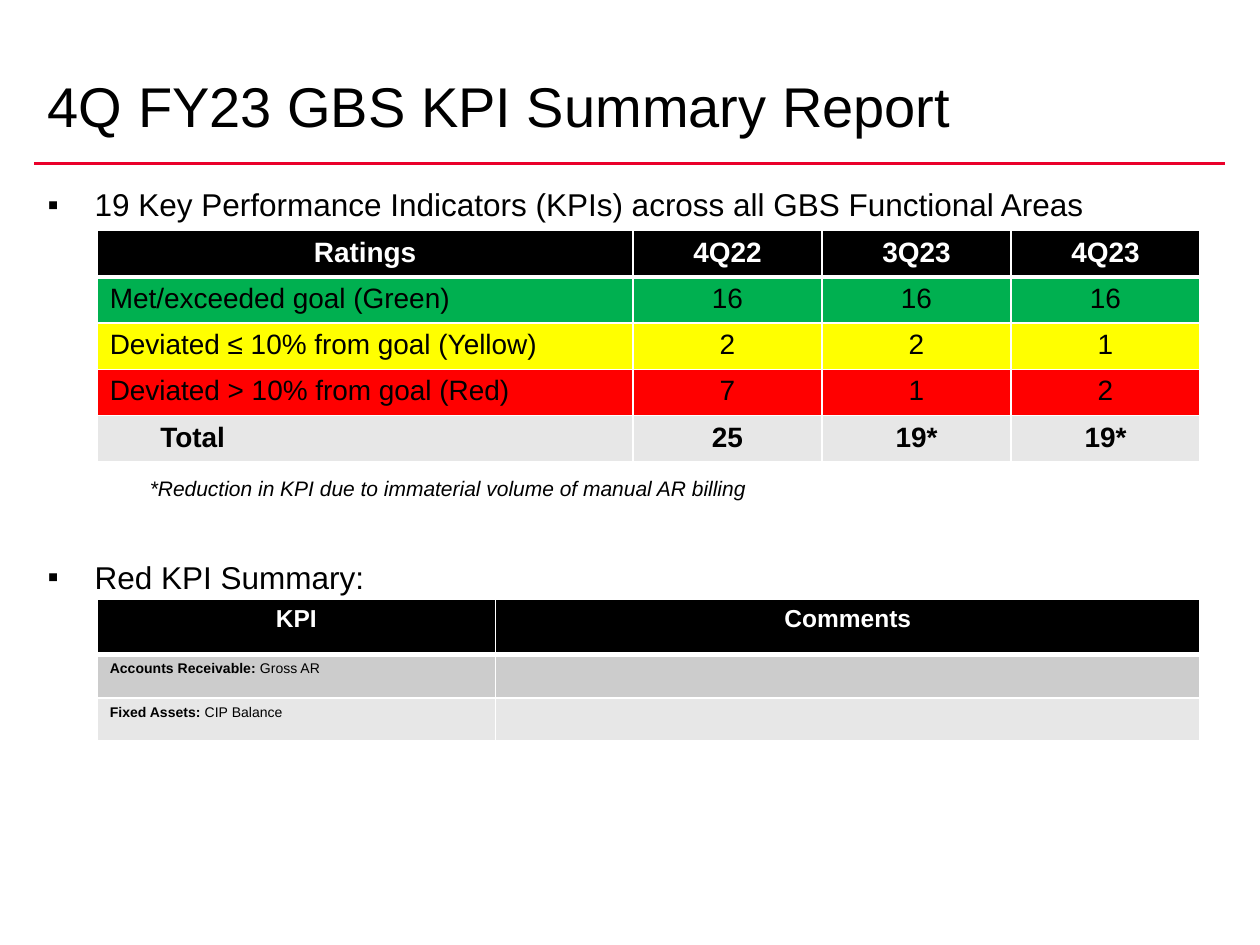
from lxml.etree import SubElement
from pptx import Presentation
from pptx.dml.color import RGBColor
from pptx.enum.shapes import MSO_CONNECTOR
from pptx.enum.text import MSO_ANCHOR, MSO_AUTO_SIZE, PP_ALIGN
from pptx.oxml.ns import qn
from pptx.util import Cm, Pt

TITLE = "4Q FY23 GBS KPI Summary Report"
BULLET = dict(marL=Cm(0.95), indent=Cm(-0.95))
NOTE = dict(marL=Cm(2.06), indent=0)
BODY = [
    ("19 Key Performance Indicators (KPIs) across all GBS Functional Areas",
     dict(size=Pt(18)), BULLET, 0),
    ("*Reduction in KPI due to immaterial volume of manual AR billing",
     dict(size=Pt(12), italic=True), NOTE, 138),
    ("Red KPI Summary:", dict(size=Pt(18)), BULLET, 27),
]

RATINGS = dict(
    top=4.65, cols=[10.8, 3.81, 3.81, 3.81], rows=[0.89] * 5,
    head_size=16, size=16, centred=True,
    fills=["000000", "00B050", "FFFF00", "FF0000", "E7E7E7"],
    cells=[
        ["Ratings", "4Q22", "3Q23", "4Q23"],
        ["Met/exceeded goal (Green)", "16", "16", "16"],
        ["Deviated ≤ 10% from goal (Yellow)", "2", "2", "1"],
        ["Deviated > 10% from goal (Red)", "7", "1", "2"],
        [("Total", ""), ("25", ""), ("19*", ""), ("19*", "")],
    ],
)
RED_KPIS = dict(
    top=12.08, cols=[8.03, 14.2], rows=[1.12, 0.87, 0.87],
    head_size=14, size=8, centred=False,
    fills=["000000", "CCCCCC", "E7E7E7"],
    cells=[
        ["KPI", "Comments"],
        [("Accounts Receivable: ", "Gross AR"), ""],
        [("Fixed Assets: ", "CIP Balance"), ""],
    ],
)


def rgb(value):
    return RGBColor.from_string(value)


def add_run(p, text, color="000000", **fmt):
    r = p.add_run()
    r.text = text
    r.font.color.rgb = rgb(color)
    for name, value in {"name": "Arial", **fmt}.items():
        setattr(r.font, name, value)


def set_indent(p, indent):
    pPr = p._p.get_or_add_pPr()
    for name, value in indent.items():
        pPr.set(name, str(int(value)))
    return pPr


def set_borders(cell, row):
    tcPr = cell._tc.get_or_add_tcPr()
    widths = dict(L=1, R=1, T=3 if row == 1 else 1, B=3 if row == 0 else 1)
    for side, width in widths.items():
        ln = SubElement(tcPr, qn(f"a:ln{side}"), w=str(int(Pt(width))))
        SubElement(SubElement(ln, qn("a:solidFill")), qn("a:srgbClr"), val="FFFFFF")


def add_table(s, data):
    rows, cols = data["rows"], data["cols"]
    table = s.shapes.add_table(len(rows), len(cols), Cm(1.96), Cm(data["top"]),
                               Cm(sum(cols)), Cm(sum(rows))).table
    for column, width in zip(table.columns, cols):
        column.width = Cm(width)
    for i, (height, fill, texts) in enumerate(zip(rows, data["fills"], data["cells"])):
        table.rows[i].height = Cm(height)
        size = data["size"] if i else data["head_size"]
        for j, text in enumerate(texts):
            cell = table.cell(i, j)
            set_borders(cell, i)
            cell.fill.solid()
            cell.fill.fore_color.rgb = rgb(fill)
            p = cell.text_frame.paragraphs[0]
            if i == 0 or (j and data["centred"]):
                p.alignment = PP_ALIGN.CENTER
            bold, plain = text if isinstance(text, tuple) else ("", text)
            if i == 0:
                bold, plain = plain, ""
            for part, is_bold in ((bold, True), (plain, False)):
                if part:
                    add_run(p, part, "000000" if i else "FFFFFF",
                            size=Pt(size), bold=is_bold)
            if not p.runs:
                SubElement(p._p, qn("a:endParaRPr"), sz=str(size * 100))
    return table


def add_title(s):
    title = s.shapes.title
    title.left, title.top, title.width, title.height = Cm(0.71), Cm(0.23), Cm(22.86), Cm(2.69)
    tf = title.text_frame
    for name, value in dict(word_wrap=True, auto_size=MSO_AUTO_SIZE.NONE,
                            vertical_anchor=MSO_ANCHOR.BOTTOM).items():
        setattr(tf, name, value)
    p = tf.paragraphs[0]
    p.alignment = PP_ALIGN.LEFT
    p.line_spacing = 0.8
    add_run(p, TITLE, size=Pt(32))


def add_rule(s):
    rule = s.shapes.add_connector(MSO_CONNECTOR.STRAIGHT, Cm(0.69), Cm(3.3), Cm(24.69), Cm(3.3))
    rule.line.color.rgb = rgb("EA002A")
    rule.line.width = Pt(2)
    SubElement(rule._element.spPr, qn("a:effectLst"))


def add_body(s):
    tf = s.shapes.add_textbox(Cm(0.71), Cm(3.61), Cm(24.38), Cm(14.07)).text_frame
    tf.word_wrap = True
    for i, (text, fmt, indent, before) in enumerate(BODY):
        p = tf.add_paragraph() if i else tf.paragraphs[0]
        p.space_before, p.space_after = Pt(before), Pt(6)
        pPr = set_indent(p, indent)
        if indent is BULLET:
            SubElement(pPr, qn("a:buFont"), typeface="Arial")
            SubElement(pPr, qn("a:buChar"), char="▪")
        add_run(p, text, **fmt)


def main():
    prs = Presentation()
    prs.slide_width, prs.slide_height = Cm(25.4), Cm(19.05)
    s = prs.slides.add_slide(prs.slide_layouts[5])
    add_rule(s)
    add_body(s)
    add_title(s)
    ratings = add_table(s, RATINGS)
    set_indent(ratings.cell(4, 0).text_frame.paragraphs[0], dict(marL=Cm(1.02), indent=0))
    add_table(s, RED_KPIS)
    prs.save("out.pptx")


if __name__ == "__main__":
    main()
